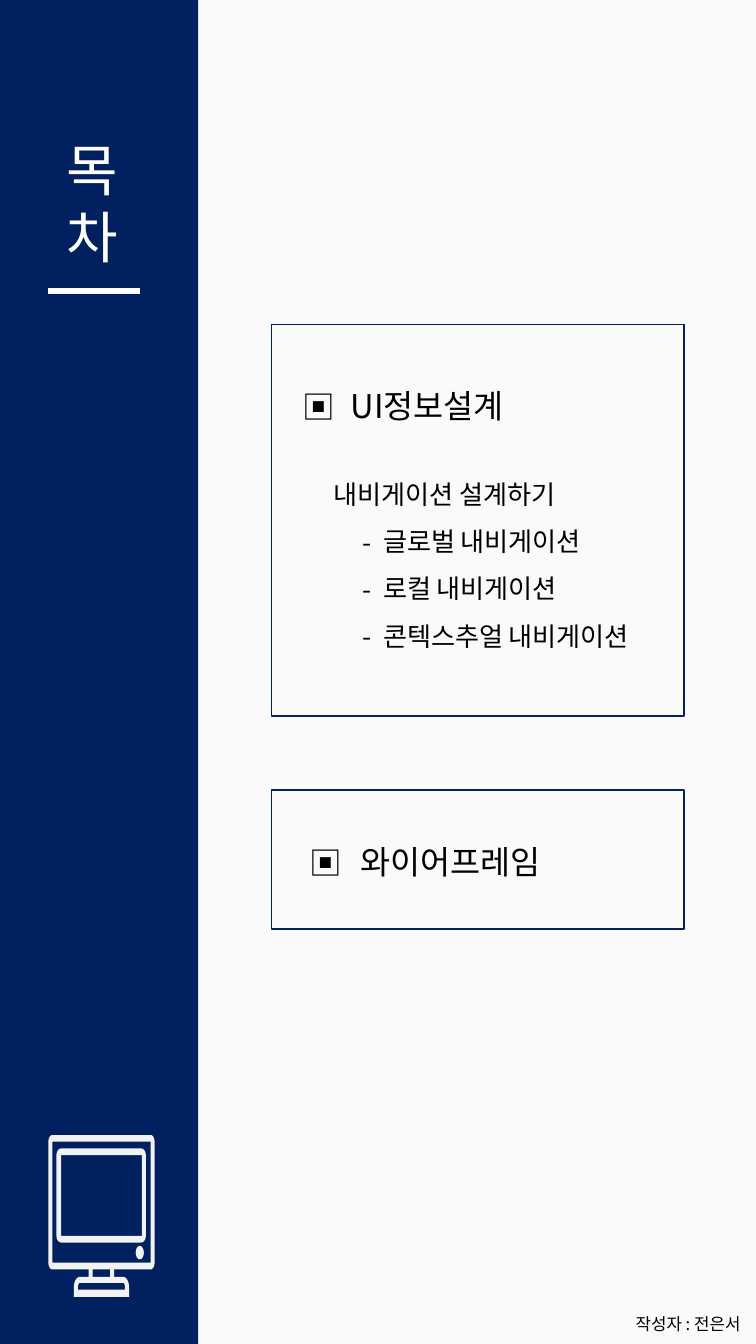
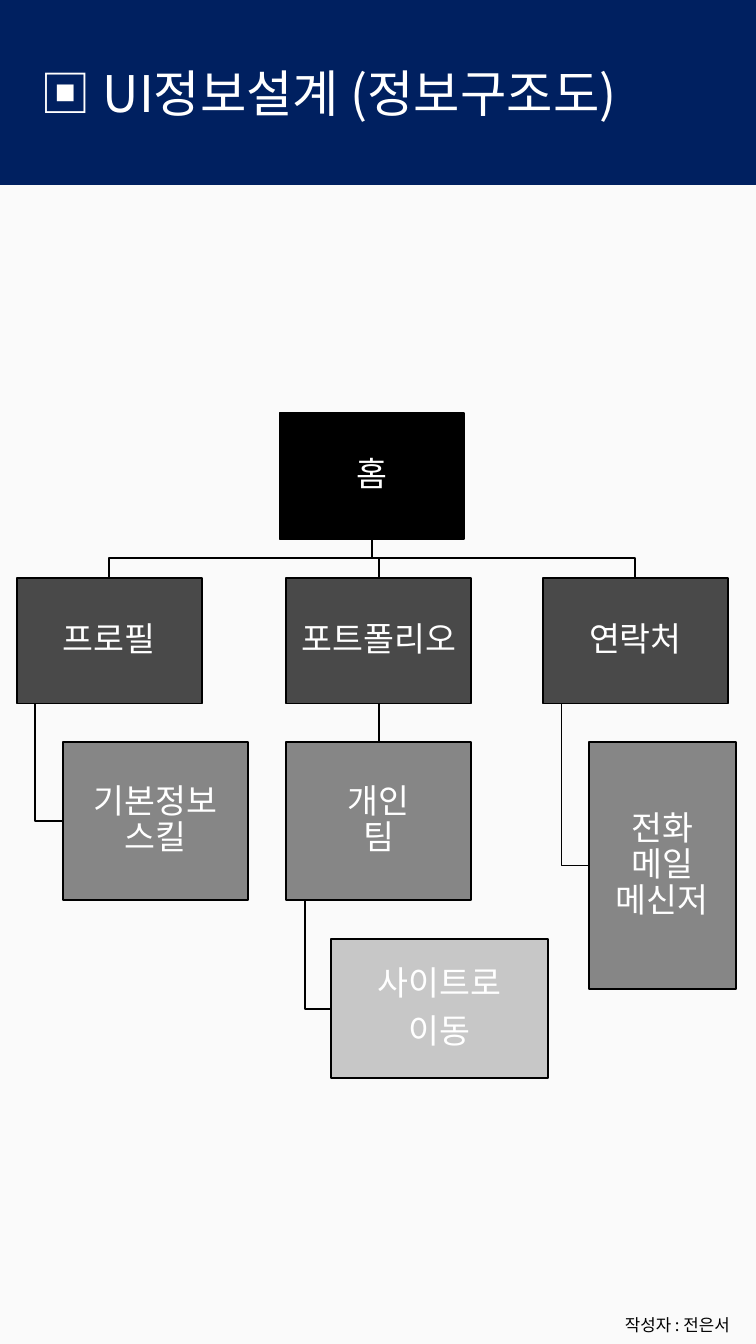
from math import cos, pi, sin
from lxml.etree import SubElement
from pptx import Presentation
from pptx.dml.color import RGBColor
from pptx.enum.shapes import MSO_CONNECTOR as Wire, MSO_SHAPE as Kind
from pptx.enum.text import MSO_ANCHOR as Anchor, MSO_AUTO_SIZE as Auto, PP_ALIGN as Align
from pptx.oxml.ns import qn
from pptx.util import Inches, Pt

FONT = "Noto Sans CJK KR"
NAVY, PAPER, WHITE, BLACK, PALE = "002060", "FAFAFA", "FFFFFF", "000000", "F2F2F2"
WIDE, HIGH = 11.25, 20
AUTHOR = "작성자 : 전은서"

FRAMES = [(4.04, 4.83, 6.14, 5.83), (4.04, 11.75, 6.14, 2.08)]
HEADS = [
    ("UI정보설계", (4.41, 5.69, 3.46, 0.69), 0.71),
    ("와이어프레임", (4.5, 12.48, 3.95, 0.69), 0.76),
]
TOPICS = [
    "내비게이션 설계하기",
    ("-", "글로벌 내비게이션"),
    ("-", "로컬 내비게이션"),
    ("-", "콘텍스추얼 내비게이션"),
]
ICON = [
    (0.72, 16.89, 2.3, 18.89, 0.06, 0.1, True),
    (0.78, 16.99, 2.24, 18.79, 0, 0, True),
    (0.84, 17.09, 2.17, 18.49, 0.07, 0.1, True),
    (0.91, 17.19, 2.11, 18.39, 0, 0, True),
    (2.02, 18.54, 2.14, 18.74, 0.06, 0.1, True),
    (1.32, 18.89, 1.38, 19, 0, 0, True),
    (1.64, 18.89, 1.7, 19, 0, 0, True),
    (1.1, 19, 1.92, 19.3, 0.09, 0.15, False),
    (1.16, 19.09, 1.86, 19.19, 0.03, 0.06, False),
]

TONES = [BLACK, "494949", "868686", "C7C7C7"]
ROWS = [6.15, 8.6, 11.04, 13.98]
NODES = {
    "home": (0, 4.16, 2.75, 1.87, ["홈"]),
    "profile": (1, 0.25, 2.75, 1.87, ["프로필"]),
    "basics": (2, 0.94, 2.75, 2.35, ["기본정보\v스킬"]),
    "folio": (1, 4.26, 2.75, 1.87, ["포트폴리오"]),
    "works": (2, 4.26, 2.75, 2.35, ["개인\v팀"]),
    "site": (3, 4.92, 3.24, 2.06, ["사이트로", "이동"]),
    "contact": (1, 8.08, 2.75, 1.87, ["연락처"]),
    "means": (2, 8.76, 2.19, 3.68, ["전화\v메일\v메신저"]),
}
FORKS = [("home", "contact"), ("home", "folio"), ("home", "profile")]
HOOKS = [("contact", "means"), ("works", "site"), ("profile", "basics")]
DROP = ("folio", "works")


def color(code):
    return RGBColor.from_string(code)


def paint(shape, fill=None, line=None, width=2):
    shape.shadow.inherit = False
    if fill:
        shape.fill.solid()
        shape.fill.fore_color.rgb = color(fill)
    else:
        shape.fill.background()
    if line:
        shape.line.color.rgb = color(line)
        shape.line.width = Pt(width)
    else:
        shape.line.fill.background()
    return shape


def rect(slide, box, **look):
    return paint(slide.shapes.add_shape(Kind.RECTANGLE, *map(Inches, box)), **look)


def band(slide, box):
    shape = rect(slide, box, fill=NAVY)
    shape.element.getparent().insert(2, shape.element)


def wire(slide, start, end, tone, width):
    line = slide.shapes.add_connector(Wire.STRAIGHT, *map(Inches, start + end))
    line.line.color.rgb = color(tone)
    line.line.width = Pt(width)
    SubElement(line.element.spPr, qn("a:effectLst"))
    return line


def place(shape, box):
    shape.left, shape.top, shape.width, shape.height = map(Inches, box)
    return shape


def bullet(para, mark, hang, left):
    props = para._p.get_or_add_pPr()
    props.set("marL", str(Inches(left if mark else 0)))
    props.set("indent", str(Inches(-hang if mark else 0)))
    if mark:
        SubElement(props, qn("a:buFont"), typeface=FONT)
        SubElement(props, qn("a:buChar"), char=mark)
    else:
        SubElement(props, qn("a:buNone"))


def write(shape, lines, size, tone=BLACK, align=Align.LEFT, anchor=Anchor.TOP,
          wrap=True, space=1.0, after=0, inset=None, hang=0, left=0):
    frame = shape.text_frame
    frame.auto_size = Auto.NONE
    frame.word_wrap = wrap
    frame.vertical_anchor = anchor
    if inset is not None:
        frame.margin_left = frame.margin_right = Inches(inset)
        frame.margin_top = frame.margin_bottom = Inches(inset)
    for i, item in enumerate(lines):
        mark, text = item if isinstance(item, tuple) else (None, item)
        para = frame.add_paragraph() if i else frame.paragraphs[0]
        para.text = text
        para.alignment = align
        para.line_spacing = space
        para.space_before, para.space_after = Pt(0), Pt(after)
        bullet(para, mark, hang, left)
        for run in para.runs:
            run.font.size = Pt(size)
            run.font.name = FONT
            run.font.color.rgb = color(tone)
            SubElement(run._r.get_or_add_rPr(), qn("a:ea"), typeface=FONT)


def label(slide, box, lines, size, **look):
    write(slide.shapes.add_textbox(*map(Inches, box)), lines, size, wrap=False, **look)


def title(slide, text, box, size):
    write(place(slide.shapes.title, box), [text], size, tone=WHITE)


def trace(slide, loops, close, **look):
    loops = [[(Inches(x), Inches(y)) for x, y in loop] for loop in loops]
    pen = slide.shapes.build_freeform(*loops[0][0])
    for i, loop in enumerate(loops):
        if i:
            pen.move_to(*loop[0])
        pen.add_line_segments(loop[1:], close=close)
    return paint(pen.convert_to_shape(), **look)


def curve(l, t, r, b, rx, ry, full):
    if not rx:
        return [(l, t), (r, t), (r, b), (l, b)]
    turns = [(l + rx, t + ry, pi), (r - rx, t + ry, 1.5 * pi)]
    if full:
        turns += [(r - rx, b - ry, 0), (l + rx, b - ry, pi / 2)]
    dots = [(x + rx * cos(a + k * pi / 16), y + ry * sin(a + k * pi / 16))
            for x, y, a in turns for k in range(9)]
    return dots if full else dots + [(r, b), (l, b)]


def spot(name):
    row, x, w, h, _ = NODES[name]
    return x, ROWS[row], w, h


def fork(top, low):
    x, y, w, h = spot(top)
    u, v, s, _ = spot(low)
    mid = (y + h + v) / 2
    return [(x + w / 2, y + h), (x + w / 2, mid), (u + s / 2, mid), (u + s / 2, v)]


def hook(top, low):
    x, y, w, h = spot(top)
    u, v, _, d = spot(low)
    stem = x + w / 10
    return [(stem, y + h), (stem, v + d / 2), (u, v + d / 2)]


def agenda(deck):
    slide = deck.slides.add_slide(deck.slide_layouts[1])
    band(slide, (0, 0, 2.95, HIGH))
    title(slide, "목 차", (0.89, 1.97, 1.45, 2.12), 60)
    wire(slide, (0.71, 4.33), (2.09, 4.33), WHITE, 6)
    trace(slide, [curve(*part) for part in ICON], True, fill=PALE)
    for box in FRAMES:
        rect(slide, box, line=NAVY)
    for text, box, gap in HEADS:
        label(slide, box, [("▣", text)], 35, hang=gap, left=gap)
    body = place(slide.placeholders[1], (4.86, 6.84, 5, 2.93))
    write(body, TOPICS, 28, wrap=False, space=1.5, hang=0.3, left=0.74)
    label(slide, (9.36, 19.5, 1.89, 0.4), [AUTHOR], 18)


def chart(deck):
    slide = deck.slides.add_slide(deck.slide_layouts[5])
    band(slide, (0, 0, WIDE, 2.75))
    title(slide, "▣ UI정보설계 (정보구조도)", (0.51, 0.87, 9.36, 1.01), 54)
    for path in [fork(*pair) for pair in FORKS] + [hook(*pair) for pair in HOOKS]:
        trace(slide, [path], False, line=BLACK)
    cards = {}
    for name, (row, *_, lines) in NODES.items():
        cards[name] = rect(slide, spot(name), fill=TONES[row], line=BLACK)
        write(cards[name], lines, 36, tone=WHITE, align=Align.CENTER,
              anchor=Anchor.MIDDLE, space=0.9, after=12.6, inset=0.03)
    line = wire(slide, (0, 0), (1, 1), BLACK, 2)
    line.begin_connect(cards[DROP[0]], 2)
    line.end_connect(cards[DROP[1]], 0)
    label(slide, (9.2, 19.51, 1.89, 0.4), [AUTHOR], 18)


def main():
    deck = Presentation()
    deck.slide_width, deck.slide_height = Inches(WIDE), Inches(HIGH)
    back = deck.slide_master.background.fill
    back.solid()
    back.fore_color.rgb = color(PAPER)
    agenda(deck)
    chart(deck)
    deck.save("out.pptx")


if __name__ == "__main__":
    main()
